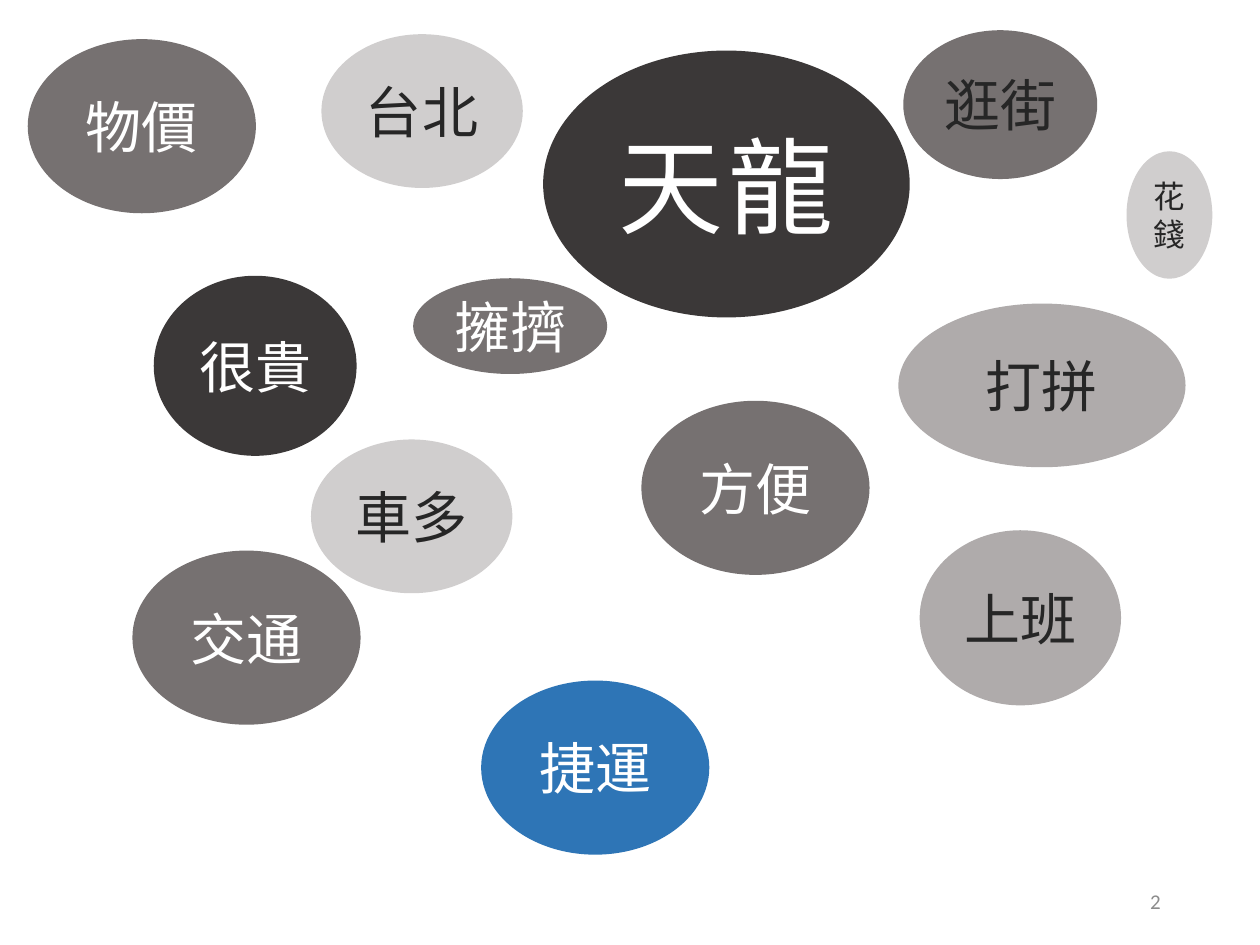
import pptx
import pptx.dml.color
import pptx.enum.shapes
import pptx.enum.text
import pptx.oxml.ns
import pptx.util
from lxml import etree

Cm = pptx.util.Cm
RGBColor = pptx.dml.color.RGBColor
ALIGN = pptx.enum.text.PP_ALIGN

CHARCOAL = RGBColor(0x3B, 0x38, 0x38)
DARK_GRAY = RGBColor(0x76, 0x71, 0x71)
MID_GRAY = RGBColor(0xAF, 0xAB, 0xAB)
LIGHT_GRAY = RGBColor(0xD0, 0xCE, 0xCE)
BLUE = RGBColor(0x2E, 0x75, 0xB6)
WHITE = RGBColor(0xFF, 0xFF, 0xFF)
INK = RGBColor(0x26, 0x26, 0x26)
NUMBER_GRAY = RGBColor(0x8C, 0x8C, 0x8C)
WORD_FONT = "Noto Sans CJK SC"


def write_text(shape, text, size=32, color=INK, font=WORD_FONT,
               align=ALIGN.CENTER, spacing=0, side_margin=0):
    frame = shape.text_frame
    frame.word_wrap = True
    frame.vertical_anchor = pptx.enum.text.MSO_ANCHOR.MIDDLE
    frame.margin_left = frame.margin_right = Cm(side_margin)
    para = frame.paragraphs[0]
    para.alignment = align
    span = para.add_run()
    span.text = text
    span.font.size = pptx.util.Pt(size)
    span.font.name = font
    span.font.color.rgb = color
    # East Asian typeface and letter spacing
    properties = span.font._element
    east_asian = etree.SubElement(properties, pptx.oxml.ns.qn("a:ea"))
    east_asian.set("typeface", font)
    if spacing:
        properties.set("spc", str(spacing * 100))


deck = pptx.Presentation()
deck.slide_width = Cm(25.4)
deck.slide_height = Cm(19.05)
page = deck.slides.add_slide(deck.slide_layouts[6])

# Page number
box = page.shapes.add_textbox(Cm(17.93), Cm(17.65), Cm(5.72), Cm(1.02))
write_text(box, "2", size=12, color=NUMBER_GRAY, font="Calibri",
           align=ALIGN.RIGHT, side_margin=0.25)

# Word bubbles: word, left, top, width, height (cm), fill, text colour, format
bubbles = [
    ("天龍", 10.95, 1.02, 7.39, 5.38, CHARCOAL, WHITE, {"size": 60, "spacing": 3}),
    ("台北", 6.48, 0.69, 4.06, 3.1, LIGHT_GRAY, INK, {}),
    ("很貴", 3.1, 5.56, 4.09, 3.63, CHARCOAL, WHITE, {}),
    ("花錢", 22.71, 3.05, 1.73, 2.57, LIGHT_GRAY, INK, {"size": 18}),
    ("逛街", 18.21, 0.61, 3.91, 3, DARK_GRAY, INK, {}),
    ("車多", 6.27, 8.86, 4.06, 3.1, LIGHT_GRAY, INK, {}),
    ("上班", 18.54, 10.69, 4.06, 3.53, MID_GRAY, INK, {}),
    ("方便", 12.93, 8.08, 4.6, 3.51, DARK_GRAY, WHITE, {}),
    ("打拼", 18.11, 6.12, 5.79, 3.3, MID_GRAY, INK, {}),
    ("擁擠", 8.33, 5.61, 3.91, 1.93, DARK_GRAY, WHITE, {}),
    ("交通", 2.67, 11.1, 4.6, 3.51, DARK_GRAY, WHITE, {}),
    ("物價", 0.56, 0.79, 4.6, 3.51, DARK_GRAY, WHITE, {}),
    ("捷運", 9.7, 13.72, 4.6, 3.51, BLUE, WHITE, {}),
]
for word, left, top, width, height, fill, color, extra in bubbles:
    bubble = page.shapes.add_shape(pptx.enum.shapes.MSO_SHAPE.OVAL,
                                   Cm(left), Cm(top), Cm(width), Cm(height))
    bubble.shadow.inherit = False
    bubble.fill.solid()
    bubble.fill.fore_color.rgb = fill
    bubble.line.fill.background()
    write_text(bubble, word, color=color, **extra)

deck.save("out.pptx")
